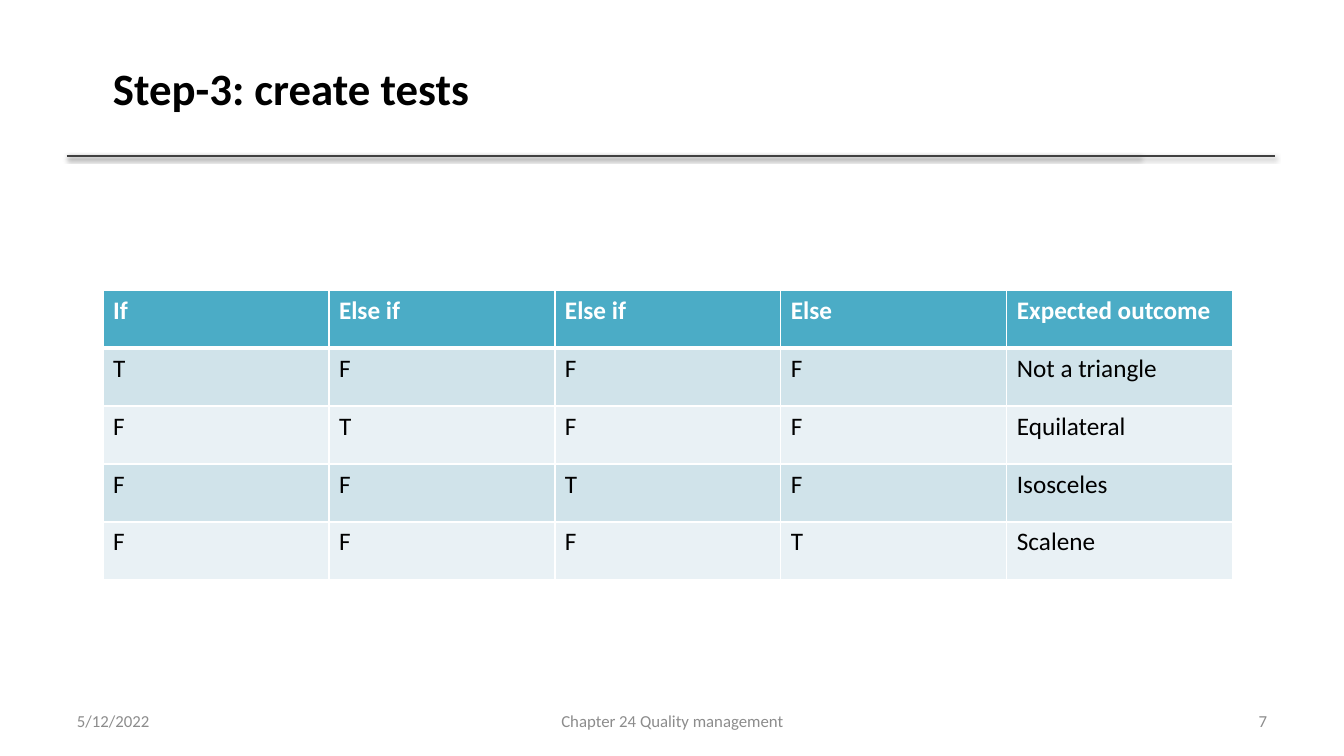
from lxml.etree import SubElement
from pptx import Presentation
from pptx.dml.color import RGBColor
from pptx.enum.shapes import MSO_CONNECTOR
from pptx.enum.text import MSO_ANCHOR, MSO_AUTO_SIZE, PP_ALIGN
from pptx.oxml import parse_xml
from pptx.oxml.ns import nsdecls, qn
from pptx.util import Emu, Pt


def px(n):
    return Emu(round(n * 914400 / 100.8))


def write(tf, text, size=18, color="000000", bold=False, align=PP_ALIGN.LEFT):
    p = tf.paragraphs[0]
    p.alignment = align
    r = p.add_run()
    r.text = text
    r.font.name = "Calibri"
    r.font.size = Pt(size)
    r.font.bold = bold
    r.font.color.rgb = RGBColor.from_string(color)


prs = Presentation()
prs.slide_width, prs.slide_height = px(1344), px(756)
s = prs.slides.add_slide(prs.slide_layouts[6])

for right in (1141, 1275):
    rule = s.shapes.add_connector(MSO_CONNECTOR.STRAIGHT, px(67), px(156), px(right), px(156))
    rule.line.color.rgb = RGBColor.from_string("404040")
    rule.line.width = Pt(2)
    rule._element.spPr.append(parse_xml(
        f'<a:effectLst {nsdecls("a")}>'
        f'<a:outerShdw blurRad="{Pt(3.1)}" dist="{Pt(1.6)}" dir="5400000" rotWithShape="0">'
        '<a:srgbClr val="000000"><a:alpha val="38000"/></a:srgbClr>'
        '</a:outerShdw></a:effectLst>'))

footers = [
    ("Chapter 24 Quality management", 460, 425, PP_ALIGN.CENTER),
    ("7", 964, 313, PP_ALIGN.RIGHT),
    ("5/12/2022", 67, 313, PP_ALIGN.LEFT),
]
for text, left, width, align in footers:
    tf = s.shapes.add_textbox(px(left), px(701), px(width), px(40)).text_frame
    tf.word_wrap = True
    tf.vertical_anchor = MSO_ANCHOR.MIDDLE
    write(tf, text, size=12, color="8C8C8C", align=align)

tf = s.shapes.add_textbox(px(103), px(56), px(380), px(65)).text_frame
tf.word_wrap = False
tf.auto_size = MSO_AUTO_SIZE.SHAPE_TO_FIT_TEXT
write(tf, "Step-3: create tests", size=32, bold=True)

header = ["If", "Else if", "Else if", "Else", "Expected outcome"]
outcomes = ["Not a triangle", "Equilateral", "Isosceles", "Scalene"]
rows = [header]
for i, outcome in enumerate(outcomes):
    rows.append(["T" if i == j else "F" for j in range(4)] + [outcome])

table = s.shapes.add_table(5, 5, px(103), px(290), px(1130), px(290)).table
for col in table.columns:
    col.width = px(226)
for row in table.rows:
    row.height = px(58)

for i, texts in enumerate(rows):
    fill = "4BACC6" if i == 0 else ("E9F1F5", "D0E3EA")[i % 2]
    for j, text in enumerate(texts):
        cell = table.cell(i, j)
        tcPr = cell._tc.get_or_add_tcPr()
        for side in ("L", "R", "T", "B"):
            thick = (i, side) in ((0, "B"), (1, "T"))
            ln = SubElement(tcPr, qn(f"a:ln{side}"), w=str(Pt(3 if thick else 1)))
            SubElement(SubElement(ln, qn("a:solidFill")), qn("a:srgbClr"), val="FFFFFF")
        cell.fill.solid()
        cell.fill.fore_color.rgb = RGBColor.from_string(fill)
        write(cell.text_frame, text, color="FFFFFF" if i == 0 else "000000", bold=i == 0)

prs.save("out.pptx")
